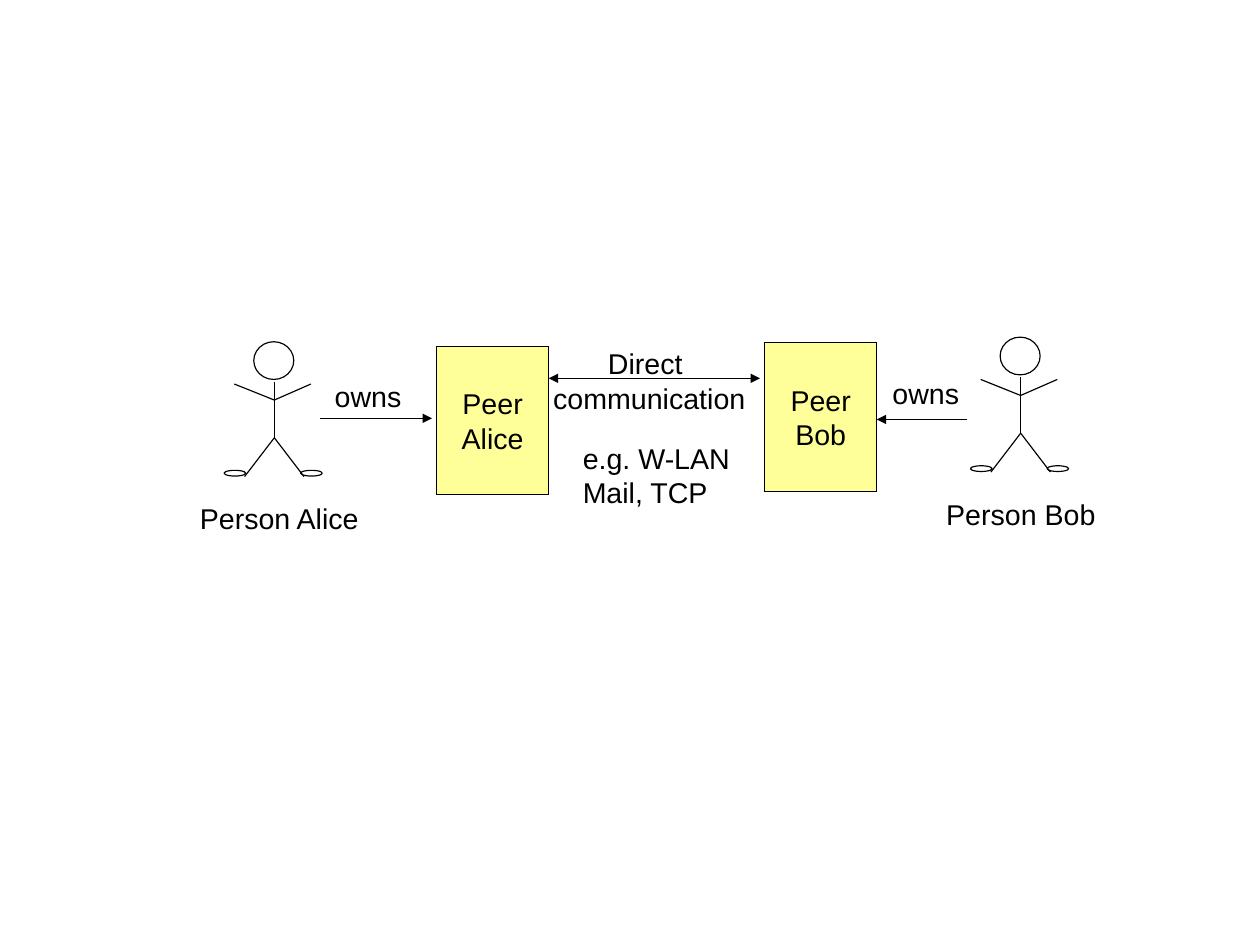
import pptx
import pptx.util
import pptx.dml.color
import pptx.enum.shapes
import pptx.enum.text
import pptx.oxml
import pptx.oxml.ns
import lxml.etree

BLACK = pptx.dml.color.RGBColor(0x00, 0x00, 0x00)
YELLOW = pptx.dml.color.RGBColor(0xFF, 0xFF, 0x99)
FONT, FONT_SIZE = "Arial", 18
HAIRLINE, FIGURE_LINE = 0, 0.75

SLIDE_WIDTH, SLIDE_HEIGHT = pptx.util.Cm(28), pptx.util.Cm(21)
CELL = pptx.util.Inches(0.01)

PERSONS = [
    ("Person Alice", (240, 299), (165, 433, 159, 38)),
    ("Person Bob", (893, 295), (818, 430, 151, 38)),
]
LIMBS = [
    ((0, 35), (0, 84)),
    ((0, 84), (-26, 118)),
    ((0, 84), (26, 118)),
    ((0, 51), (-35, 37)),
    ((0, 51), (32, 37)),
]
HEAD_AND_FEET = [(-18, 0, 35, 33), (23, 112.5, 19, 5), (-44, 112.5, 19, 5)]

PEERS = [("Peer\nAlice", (382, 303, 98, 130)), ("Peer\nBob", (669, 300, 98, 130))]
ARROWS = [
    ((280, 366), (378, 366), ["tailEnd"]),
    ((846, 367), (767, 367), ["tailEnd"]),
    ((480, 331), (665, 331), ["headEnd", "tailEnd"]),
]
LEFT = pptx.enum.text.PP_ALIGN.LEFT
CENTER = pptx.enum.text.PP_ALIGN.CENTER
LABELS = [
    ("owns", (283, 327, 79, 38), LEFT, True),
    ("owns", (771, 324, 79, 38), LEFT, True),
    ("Direct \ncommunication", (474, 298, 188, 66), CENTER, False),
    ("e.g. W-LAN\nMail, TCP", (500, 381, 149, 66), LEFT, False),
]


def cells(*counts):
    return [int(count * CELL) for count in counts]


def write(frame, wording, align):
    frame.text = wording
    for paragraph in frame.paragraphs:
        paragraph.alignment = align
        paragraph.font.name = FONT
        paragraph.font.size = pptx.util.Pt(FONT_SIZE)
        paragraph.font.color.rgb = BLACK


def draw_outline(item, width):
    item._element.remove(item._element.find(pptx.oxml.ns.qn("p:style")))
    item.line.color.rgb = BLACK
    item.line.width = pptx.util.Pt(width)


def draw_line(shapes, start, end, width, arrowheads=()):
    line = shapes.add_connector(
        pptx.enum.shapes.MSO_CONNECTOR.STRAIGHT, *cells(*start, *end))
    draw_outline(line, width)
    for end_name in arrowheads:
        lxml.etree.SubElement(
            line.line._get_or_add_ln(), pptx.oxml.ns.qn("a:" + end_name), type="triangle")
    lxml.etree.SubElement(line._element.spPr, pptx.oxml.ns.qn("a:effectLst"))


def draw_shape(shapes, kind, area, width):
    shape = shapes.add_shape(kind, *cells(*area))
    shape.shadow.inherit = False
    shape.fill.background()
    draw_outline(shape, width)
    return shape


def draw_label(shapes, wording, area, align, wrap):
    frame = shapes.add_textbox(*cells(*area)).text_frame
    frame.word_wrap = wrap
    frame.auto_size = pptx.enum.text.MSO_AUTO_SIZE.SHAPE_TO_FIT_TEXT
    write(frame, wording, align)


def draw_person(shapes, name, origin, name_area):
    x, y = origin
    figure = shapes.add_group_shape().shapes
    for left, top, width, height in HEAD_AND_FEET:
        draw_shape(figure, pptx.enum.shapes.MSO_SHAPE.OVAL,
                   (x + left, y + top, width, height), FIGURE_LINE)
    for start, end in LIMBS:
        draw_line(figure, (x + start[0], y + start[1]),
                  (x + end[0], y + end[1]), FIGURE_LINE)
    draw_label(shapes, name, name_area, LEFT, False)


def draw_peer(shapes, name, area):
    peer = draw_shape(shapes, pptx.enum.shapes.MSO_SHAPE.RECTANGLE, area, HAIRLINE)
    peer.fill.solid()
    peer.fill.fore_color.rgb = YELLOW
    peer.text_frame.vertical_anchor = pptx.enum.text.MSO_ANCHOR.MIDDLE
    write(peer.text_frame, name, CENTER)


def main():
    deck = pptx.Presentation()
    deck.slide_width, deck.slide_height = SLIDE_WIDTH, SLIDE_HEIGHT
    shapes = deck.slides.add_slide(deck.slide_layouts[6]).shapes
    for person in PERSONS:
        draw_person(shapes, *person)
    for peer in PEERS:
        draw_peer(shapes, *peer)
    for start, end, arrowheads in ARROWS:
        draw_line(shapes, start, end, HAIRLINE, arrowheads)
    for label in LABELS:
        draw_label(shapes, *label)
    deck.save("out.pptx")


if __name__ == "__main__":
    main()
